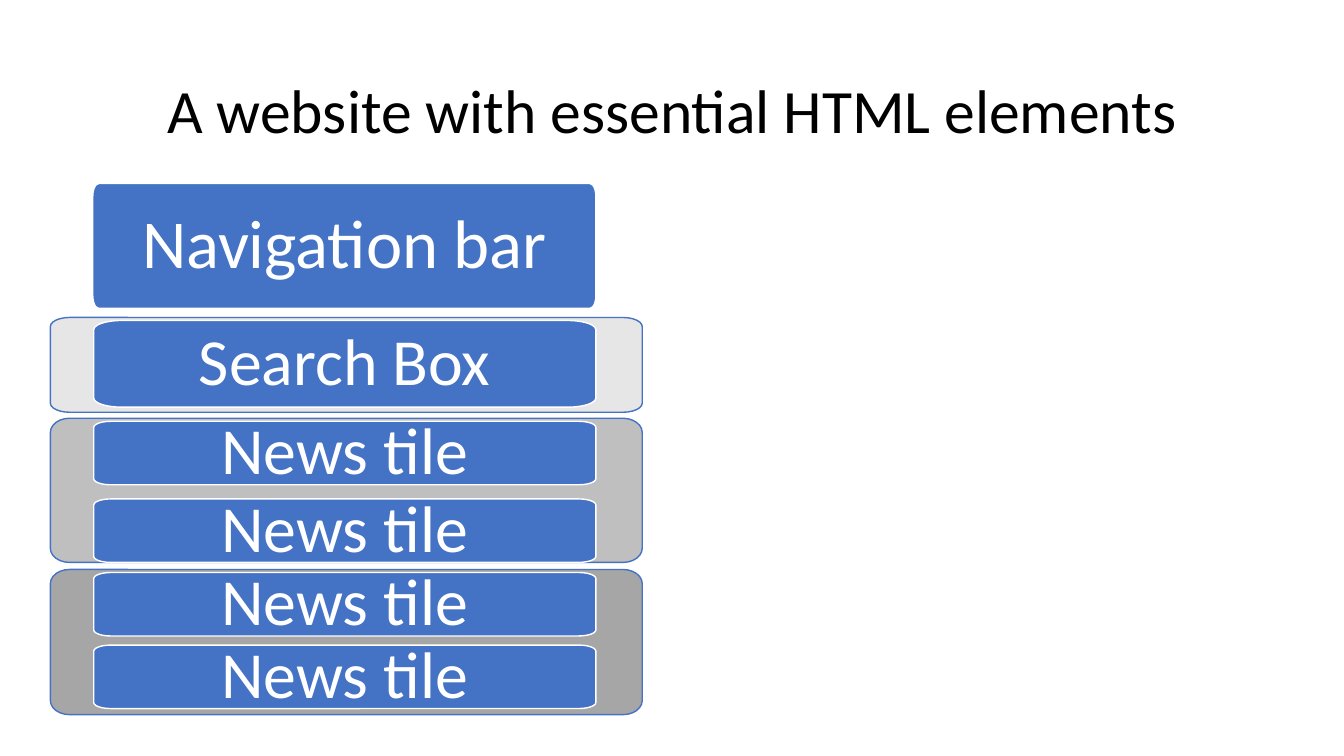
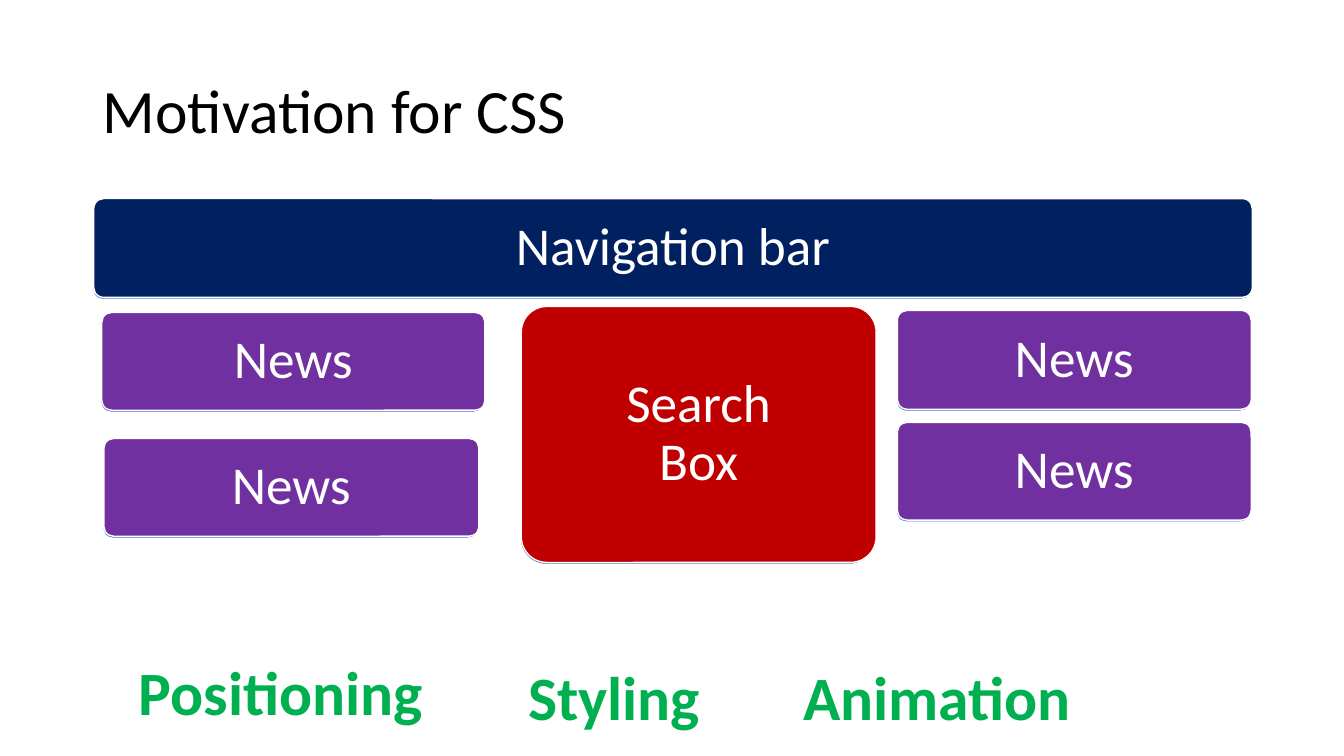
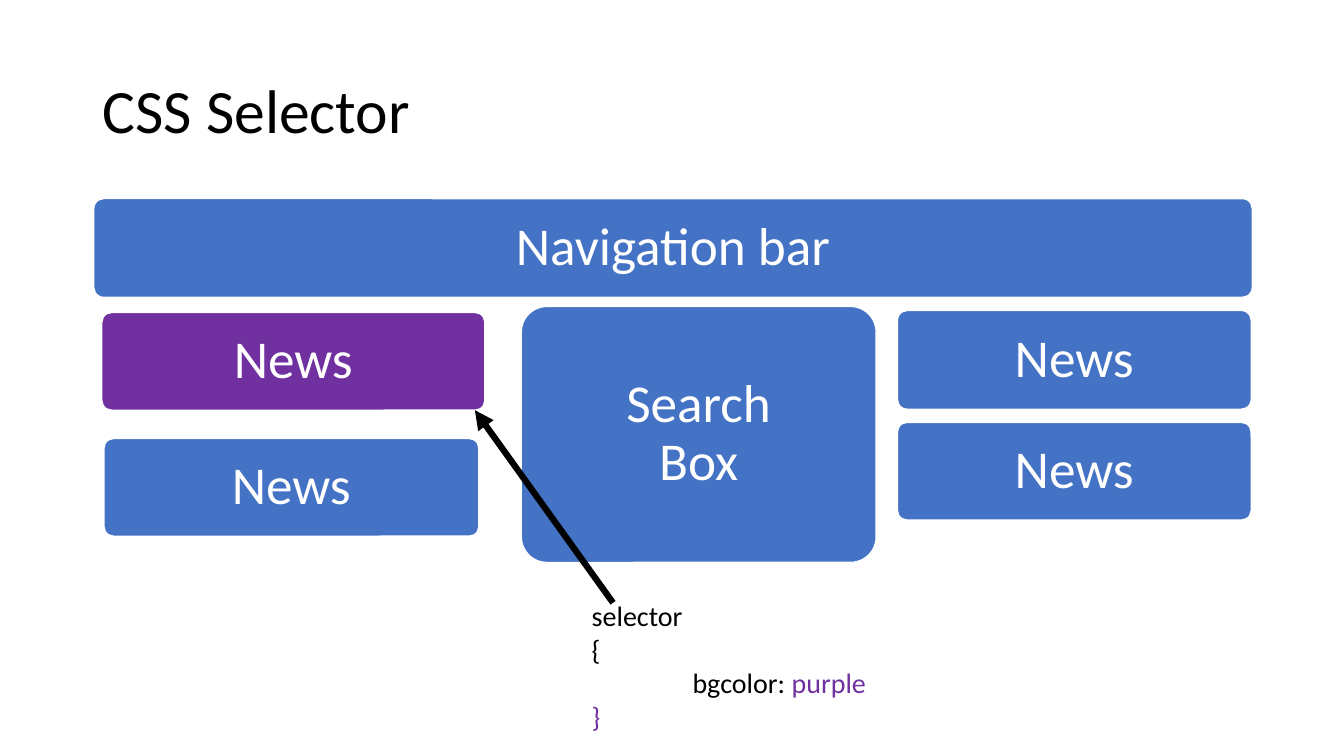
from lxml import etree
from pptx import Presentation
from pptx.dml.color import RGBColor
from pptx.enum import shapes, text
from pptx.oxml import ns
from pptx.util import Inches, Pt

FONT = "Calibri"
COLORS = {
    "black": "000000", "white": "FFFFFF", "blue": "4472C4", "navy": "002060",
    "red": "C00000", "purple": "7030A0", "green": "00B050",
    "light": "E7E6E6", "mid": "BFBFBF", "dark": "A6A6A6",
}
TITLE_BOX = (0.92, 0.4, 11.5, 1.45)

# Parts of the mock page, relative to its top left corner: name, label, box
PAGE_PARTS = [
    ("nav", "Navigation bar", (0, 0, 11.49, 0.98)),
    ("search", "Search\nBox", (4.24, 1.07, 3.52, 2.54)),
    ("news_2", "News", (0.1, 2.38, 3.72, 0.97)),
    ("news_1", "News", (0.08, 1.13, 3.8, 0.97)),
    ("news_3", "News", (7.97, 1.11, 3.51, 0.98)),
    ("news_4", "News", (7.97, 2.22, 3.51, 0.97)),
]


def rgb(name):
    return RGBColor.from_string(COLORS[name])


def inches(box):
    return [Inches(v) for v in box]


def add_text(p, content, size, color="black", bold=False, align=None, spacing=None):
    """Append formatted runs to a paragraph; a newline becomes a line break."""
    if align is not None:
        p.alignment = align
    if spacing is not None:
        p.line_spacing = spacing
    for i, line in enumerate(content.split("\n")):
        if i:
            p.add_line_break()
        r = p.add_run()
        r.text = line
        r.font.name, r.font.size, r.font.bold = FONT, Pt(size), bold
        r.font.color.rgb = rgb(color)


def add_tab_stop(p, position):
    tabs = etree.SubElement(p._p.get_or_add_pPr(), ns.qn("a:tabLst"))
    etree.SubElement(tabs, ns.qn("a:tab"), pos=str(Inches(position)), algn="l")


def style_block(sp, fill, line="white", label="", size=38):
    sp.shadow.inherit = False
    sp.fill.solid()
    sp.fill.fore_color.rgb = rgb(fill)
    sp.line.color.rgb = rgb(line)
    sp.line.width = Pt(1)
    if label:
        tf = sp.text_frame
        tf.word_wrap = True
        tf.vertical_anchor = text.MSO_ANCHOR.MIDDLE
        tf.margin_left = tf.margin_right = Inches(0.19)
        tf.margin_top = tf.margin_bottom = 0
        add_text(tf.paragraphs[0], label, size, "white",
                 align=text.PP_ALIGN.CENTER, spacing=0.9)


def add_oval_cornered(slide, box, rx, ry):
    """Rectangle whose corners are quarter ellipses."""
    left, top, width, height = box
    right, bottom = left + width, top + height
    points = [inches(point) for point in (
        (left, top + ry), (left + rx, top), (right - rx, top), (right, top + ry),
        (right, bottom - ry), (right - rx, bottom), (left + rx, bottom),
        (left, bottom - ry))]
    outline = slide.shapes.build_freeform(*points[0], scale=1.0)
    outline.add_line_segments(points[1:], close=True)
    sp = outline.convert_to_shape()

    corners = list(sp._element.iter(ns.qn("a:lnTo")))[::2]
    for corner, start in zip(corners, (180, 270, 0, 90)):
        arc = etree.Element(ns.qn("a:arcTo"), wR=str(Inches(rx)), hR=str(Inches(ry)),
                            stAng=str(start * 60000), swAng=str(90 * 60000))
        corner.getparent().replace(corner, arc)
    return sp


def add_titled_slide(prs, title, align=text.PP_ALIGN.LEFT):
    slide = prs.slides.add_slide(prs.slide_layouts[5])
    sp = slide.shapes.title
    sp.left, sp.top, sp.width, sp.height = inches(TITLE_BOX)
    tf = sp.text_frame
    tf.auto_size = text.MSO_AUTO_SIZE.NONE
    tf.vertical_anchor = text.MSO_ANCHOR.MIDDLE
    add_text(tf.paragraphs[0], title, 44, align=align, spacing=0.9)
    return slide


def add_textbox(slide, box):
    tf = slide.shapes.add_textbox(*inches(box)).text_frame
    tf.word_wrap = False
    return tf


def add_element_stack(slide, left, top):
    """Page elements piled up in one column, on grey panels."""
    panels = [(3.83, 1.44, 0.14, "dark"), (2.33, 1.43, 0.14, "mid"),
              (1.33, 0.94, 0.09, "light")]
    for y, height, ry, fill in panels:
        sp = add_oval_cornered(slide, (left, top + y, 5.87, height), 0.19, ry)
        style_block(sp, fill, line="blue")

    blocks = [("Navigation bar", 0.42, 0, 4.99, 1.24, 0.06, 0.13, 49),
              ("Search Box", 0.43, 1.36, 4.98, 0.86, 0.28, 0.09, 47)]
    blocks += [("News tile", 0.43, y, 4.98, 0.63, 0.17, 0.06, 47)
               for y in (2.36, 3.13, 3.86, 4.58)]
    for label, x, y, width, height, rx, ry, size in blocks:
        sp = add_oval_cornered(slide, (left + x, top + y, width, height), rx, ry)
        style_block(sp, "blue", label=label, size=size)


def add_page(slide, left, top, fills=None, labelled=True):
    """Mock page; parts without an entry in fills are blue."""
    fills = fills or {}
    for name, label, (x, y, width, height) in PAGE_PARTS:
        sp = slide.shapes.add_shape(shapes.MSO_SHAPE.ROUNDED_RECTANGLE,
                                    *inches((left + x, top + y, width, height)))
        sp.adjustments[0] = 0.1
        style_block(sp, fills.get(name, "blue"), label=label if labelled else "")


def add_arrow(slide, start, end):
    line = slide.shapes.add_connector(shapes.MSO_CONNECTOR.STRAIGHT,
                                      *inches(start + end))
    line.line.color.rgb = rgb("black")
    line.line.width = Pt(4.5)
    etree.SubElement(line.line._get_or_add_ln(), ns.qn("a:tailEnd"), type="triangle")
    etree.SubElement(line._element.spPr, ns.qn("a:effectLst"))


def add_selector_rule(slide, box):
    tf = add_textbox(slide, box)
    add_text(tf.paragraphs[0], "selector", 20)
    p = tf.add_paragraph()
    add_tab_stop(p, 1)
    add_text(p, "{\n\tbgcolor: ", 20)
    add_text(p, "purple", 20, "purple")
    add_text(tf.add_paragraph(), "}", 20, "purple")


def build_elements_slide(prs):
    slide = add_titled_slide(prs, "A website with essential HTML elements",
                             align=text.PP_ALIGN.CENTER)
    add_element_stack(slide, 0.5, 1.82)


def build_motivation_slide(prs):
    slide = add_titled_slide(prs, "Motivation for CSS")
    fills = {f"news_{i}": "purple" for i in range(1, 5)}
    fills.update(nav="navy", search="red")
    add_page(slide, 0.92, 1.99, labelled=False)
    add_page(slide, 0.93, 1.97, fills)
    for word, box in [("Positioning", (1.28, 6.44, 3.05, 0.84)),
                      ("Styling", (5.14, 6.49, 1.93, 0.84)),
                      ("Animation", (7.87, 6.49, 2.89, 0.84))]:
        add_text(add_textbox(slide, box).paragraphs[0], word, 44, "green", bold=True)


def build_selector_slide(prs):
    slide = add_titled_slide(prs, "CSS Selector")
    add_page(slide, 0.93, 1.97, {"news_1": "purple"})
    add_selector_rule(slide, (5.77, 5.89, 2.95, 1.45))
    add_arrow(slide, (6.08, 5.98), (4.71, 4.07))


def main():
    prs = Presentation()
    prs.slide_width, prs.slide_height = Inches(13.33), Inches(7.5)
    build_elements_slide(prs)
    build_motivation_slide(prs)
    build_selector_slide(prs)
    prs.save("out.pptx")


if __name__ == "__main__":
    main()
